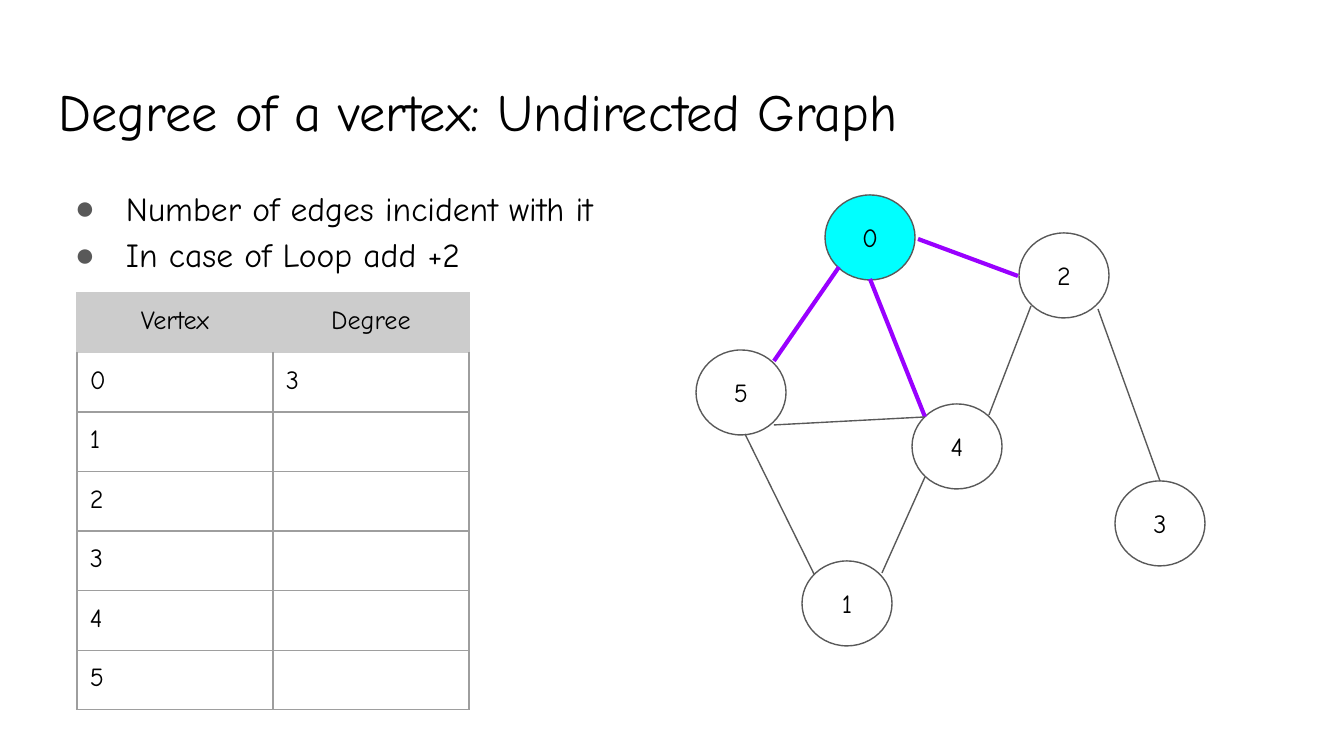
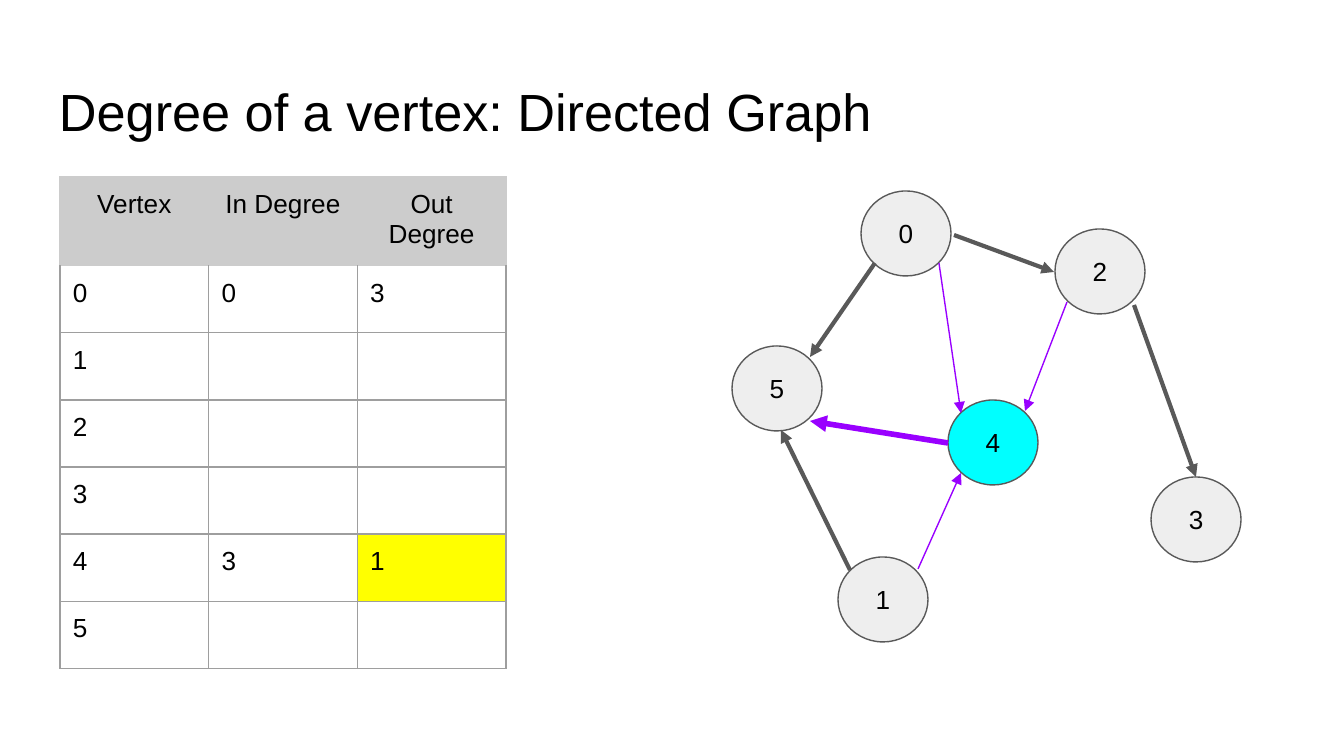
import pptx
import pptx.util
import pptx.dml.color
import pptx.enum.shapes
import pptx.enum.text
import pptx.oxml.ns
from lxml import etree

COLORS = {
    "text": "000000", "line": "595959", "path": "9900FF", "focus": "00FFFF",
    "node": "EEEEEE", "header": "CCCCCC", "grid": "9E9E9E", "mark": "FFFF00",
}
SCALE = 914400 / 134.4
INSET = 13
TITLE_BOX = (46, 66, 1252, 85)
BODY_BOX = (46, 169, 1252, 503)
BULLET_INDENT, BULLET_HANG = 67, 51
NODE_SIZE = (90, 85)
TITLE_SIZE, BODY_SIZE, LABEL_SIZE = 28, 18, 14
THIN, BOLD, HEAVY = 0.75, 2.25, 3

NODES = {"0": (129, 0), "1": (106, 366), "2": (323, 38),
         "3": (419, 286), "4": (216, 209), "5": (0, 155)}
EDGES = {
    "0-5": ((143, 72), (78, 166)),
    "0-2": ((222, 44), (322, 81)),
    "0-4": ((174, 84), (229, 222)),
    "4-5": ((229, 222), (78, 230)),
    "1-5": ((118, 379), (49, 239)),
    "1-4": ((186, 378), (229, 282)),
    "2-4": ((335, 111), (293, 220)),
    "2-3": ((402, 114), (464, 286)),
}
DIRECTED_EDGES = {**EDGES, "0-4": ((207, 72), (229, 222)),
                  "4-5": ((216, 252), (78, 230))}

SLIDES = [
    {
        "title": "Degree of a vertex: Undirected Graph",
        "font": "Comic Neue",
        "bullets": ["Number of edges incident with it", "In case of Loop add +2"],
        "table_box": (77, 293, 392, 417),
        "header": ["Vertex", "Degree"],
        "degrees": {"0": ["3"]},
        "marked": [],
        "origin": (696, 195),
        "node_fill": None,
        "focus": "0",
        "edges": EDGES,
        "plain_edge": ("line", THIN),
        "special_edges": dict.fromkeys(["0-5", "0-2", "0-4"], ("path", BOLD)),
        "arrows": False,
    },
    {
        "title": "Degree of a vertex: Directed Graph",
        "font": "Arial",
        "bullets": [],
        "table_box": (60, 177, 446, 470),
        "header": ["Vertex", "In Degree", "Out Degree"],
        "degrees": {"0": ["0", "3"], "4": ["3", "1"]},
        "marked": [("4", 2)],
        "origin": (732, 191),
        "node_fill": "node",
        "focus": "4",
        "edges": DIRECTED_EDGES,
        "plain_edge": ("line", BOLD),
        "special_edges": {"4-5": ("path", HEAVY),
                          **dict.fromkeys(["0-4", "1-4", "2-4"], ("path", THIN))},
        "arrows": True,
    },
]


def px(length):
    return pptx.util.Emu(round(length * SCALE))


def rgb(color):
    return pptx.dml.color.RGBColor.from_string(COLORS[color])


def add_tag(parent, tag, **attributes):
    return etree.SubElement(parent, pptx.oxml.ns.qn(tag), attributes)


def set_format(target, values):
    for name, value in values.items():
        setattr(target, name, value)


def paint(fill, color):
    if color:
        fill.solid()
        fill.fore_color.rgb = rgb(color)
    else:
        fill.background()


def draw_line(line, color, width):
    line.color.rgb = rgb(color)
    line.width = pptx.util.Pt(width)


def set_frame(frame, anchor):
    set_format(frame, {
        "word_wrap": True, "vertical_anchor": anchor,
        "margin_left": px(INSET), "margin_right": px(INSET),
        "margin_top": px(INSET), "margin_bottom": px(INSET)})


def write(paragraph, text, font, size, align="LEFT"):
    paragraph.alignment = getattr(pptx.enum.text.PP_ALIGN, align)
    if not text:
        add_tag(paragraph._p, "a:endParaRPr", sz=str(size * 100))
        return
    run = paragraph.add_run()
    run.text = text
    set_format(run.font, {"name": font, "size": pptx.util.Pt(size)})
    run.font.color.rgb = rgb("text")


def add_text(slide, box, lines, font, size):
    frame = slide.shapes.add_textbox(*map(px, box)).text_frame
    set_frame(frame, pptx.enum.text.MSO_ANCHOR.TOP)
    for index, line in enumerate(lines):
        paragraph = frame.add_paragraph() if index else frame.paragraphs[0]
        write(paragraph, line, font, size)
    return frame


def add_bullets(slide, lines, font):
    frame = add_text(slide, BODY_BOX, lines, font, BODY_SIZE)
    for paragraph in frame.paragraphs:
        paragraph.line_spacing = 1.15
        properties = paragraph._p.get_or_add_pPr()
        properties.set("marL", str(px(BULLET_INDENT)))
        properties.set("indent", str(-px(BULLET_HANG)))
        bullet_color = add_tag(properties, "a:buClr")
        add_tag(bullet_color, "a:srgbClr", val=COLORS["line"])
        add_tag(properties, "a:buFont", typeface="Arial")
        add_tag(properties, "a:buChar", char="●")


def add_borders(cell, row):
    properties = cell._tc.get_or_add_tcPr()
    for side in ("L", "R", "T", "B"):
        color = "header" if row == 0 or (row == 1 and side == "T") else "grid"
        border = add_tag(properties, "a:ln" + side, w=str(pptx.util.Pt(THIN)))
        add_tag(add_tag(border, "a:solidFill"), "a:srgbClr", val=COLORS[color])


def add_degree_table(slide, content):
    header = content["header"]
    blank = [""] * (len(header) - 1)
    rows = [header] + [[vertex] + content["degrees"].get(vertex, blank)
                       for vertex in NODES]
    left, top, width, height = content["table_box"]
    table = slide.shapes.add_table(
        len(rows), len(header), px(left), px(top), px(width), px(height)).table
    set_format(table, {"first_row": False, "horz_banding": False})
    for column in table.columns:
        column.width = px(width / len(header))
    for r, values in enumerate(rows):
        table.rows[r].height = px(height / len(rows))
        for c, value in enumerate(values):
            cell = table.cell(r, c)
            set_format(cell, {
                "margin_left": px(INSET), "margin_right": px(INSET),
                "margin_top": px(INSET), "margin_bottom": px(INSET)})
            write(cell.text_frame.paragraphs[0], value, content["font"],
                  LABEL_SIZE, "LEFT" if r else "CENTER")
            add_borders(cell, r)
            marked = (values[0], c) in content["marked"]
            paint(cell.fill, "header" if r == 0 else "mark" if marked else None)


def add_graph(slide, content):
    x0, y0 = content["origin"]
    for label, (x, y) in NODES.items():
        node = slide.shapes.add_shape(
            pptx.enum.shapes.MSO_SHAPE.FLOWCHART_CONNECTOR,
            px(x0 + x), px(y0 + y), *map(px, NODE_SIZE))
        node.shadow.inherit = False
        paint(node.fill, "focus" if label == content["focus"] else content["node_fill"])
        draw_line(node.line, "line", THIN)
        set_frame(node.text_frame, pptx.enum.text.MSO_ANCHOR.MIDDLE)
        write(node.text_frame.paragraphs[0], label, content["font"],
              LABEL_SIZE, "CENTER")
    for name, ((x1, y1), (x2, y2)) in content["edges"].items():
        edge = slide.shapes.add_connector(
            pptx.enum.shapes.MSO_CONNECTOR.STRAIGHT,
            px(x0 + x1), px(y0 + y1), px(x0 + x2), px(y0 + y2))
        draw_line(edge.line, *content["special_edges"].get(name, content["plain_edge"]))
        if content["arrows"]:
            add_tag(edge.line._get_or_add_ln(), "a:tailEnd", type="triangle")
        add_tag(edge._element.spPr, "a:effectLst")


deck = pptx.Presentation()
set_format(deck, {"slide_width": px(1344), "slide_height": px(756)})
for content in SLIDES:
    slide = deck.slides.add_slide(deck.slide_layouts[6])
    add_text(slide, TITLE_BOX, [content["title"]], content["font"], TITLE_SIZE)
    if content["bullets"]:
        add_bullets(slide, content["bullets"], content["font"])
    add_degree_table(slide, content)
    add_graph(slide, content)
deck.save("out.pptx")
